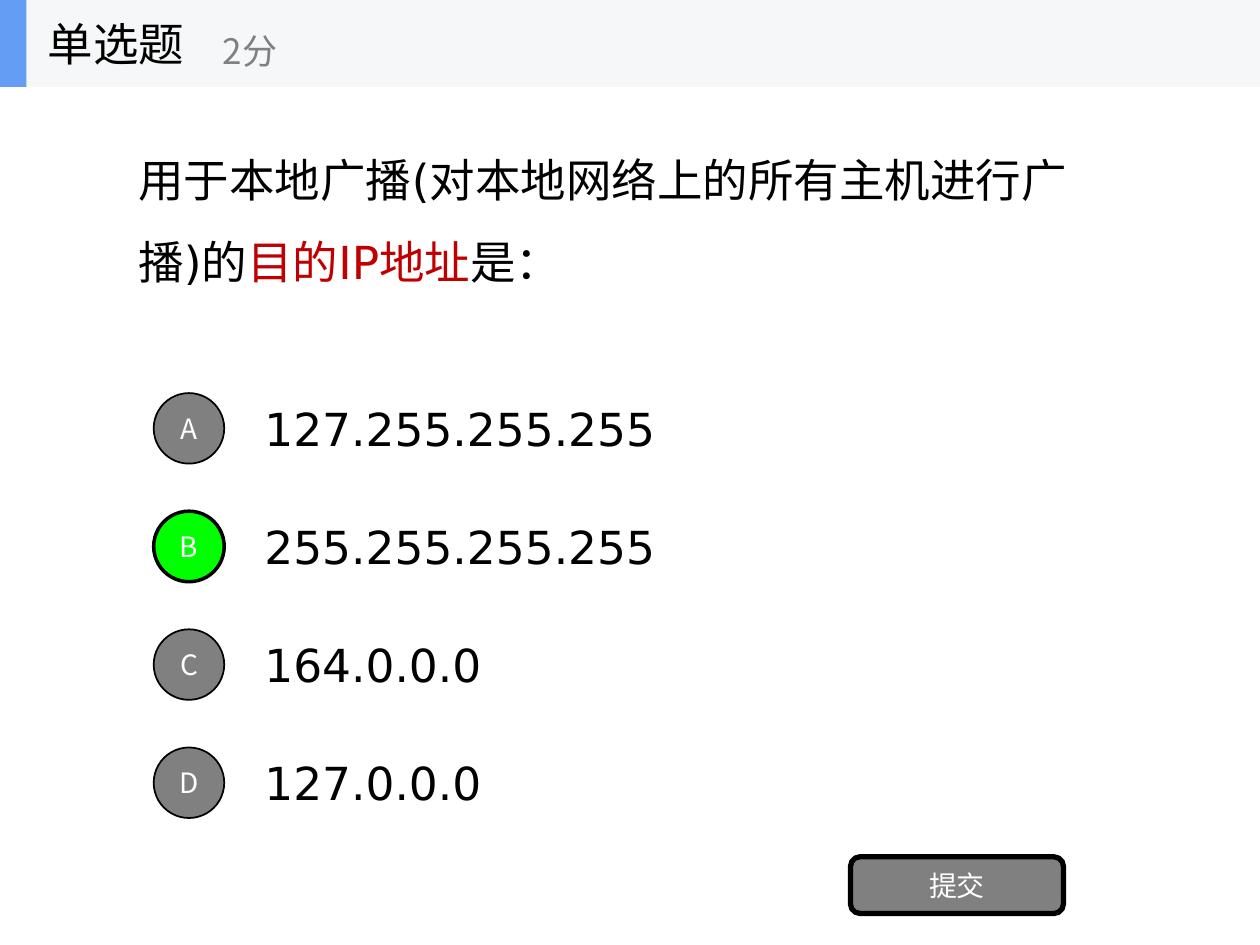
from pptx import Presentation
from pptx.dml.color import RGBColor
from pptx.enum.shapes import MSO_SHAPE
from pptx.enum.text import MSO_ANCHOR, PP_ALIGN
from pptx.util import Inches, Pt

RECTANGLE = MSO_SHAPE.RECTANGLE
ROUNDED = MSO_SHAPE.ROUNDED_RECTANGLE
OVAL = MSO_SHAPE.OVAL
MIDDLE = MSO_ANCHOR.MIDDLE
CENTER = PP_ALIGN.CENTER

COLORS = {
    "black": "000000",
    "white": "FFFFFF",
    "gray": "808080",
    "red": "C00000",
    "green": "00FF00",
    "band": "F6F7F8",
    "accent": "639EF4",
}
BODY_FONT = "DejaVu Sans"
LABEL_FONT = "Noto Sans CJK SC"


def color(name):
    return RGBColor.from_string(COLORS[name])


class QuizSlide:
    def __init__(self, presentation):
        self.slide = presentation.slides.add_slide(presentation.slide_layouts[6])

    def style(self, paragraph, font, size, color_name=None):
        paragraph.font.name = font
        paragraph.font.size = Pt(size)
        if color_name:
            paragraph.font.color.rgb = color(color_name)

    def text(self, box, runs, font=BODY_FONT, size=26, spacing=None, wrap=True, parent=None):
        """Add a text box; runs is a list of (text, color name)."""
        shapes = (parent or self.slide).shapes
        frame = shapes.add_textbox(*map(Inches, box)).text_frame
        frame.word_wrap = wrap
        frame.vertical_anchor = MIDDLE
        paragraph = frame.paragraphs[0]
        paragraph.line_spacing = spacing
        same_color = runs[0][1] if len(runs) == 1 else None
        self.style(paragraph, font, size, same_color)
        for words, color_name in runs:
            run = paragraph.add_run()
            run.text = words
            if not same_color:
                run.font.color.rgb = color(color_name)

    def shape(self, kind, box, fill, line_width=0, label=None, parent=None):
        """Add a filled shape with an optional black outline and white label."""
        shapes = (parent or self.slide).shapes
        shape = shapes.add_shape(kind, *map(Inches, box))
        shape.shadow.inherit = False
        shape.fill.solid()
        shape.fill.fore_color.rgb = color(fill)
        if line_width:
            shape.line.color.rgb = color("black")
            shape.line.width = Pt(line_width)
        else:
            shape.line.fill.background()
        if label:
            frame = shape.text_frame
            frame.vertical_anchor = MIDDLE
            paragraph = frame.paragraphs[0]
            paragraph.text = label
            paragraph.alignment = CENTER
            self.style(paragraph, LABEL_FONT, 16, "white")

    def group(self):
        return self.slide.shapes.add_group_shape()


def main():
    presentation = Presentation()
    presentation.slide_width = Inches(10)
    presentation.slide_height = Inches(7.5)
    quiz = QuizSlide(presentation)

    # Question
    quiz.text(
        (1, 0.47, 8, 2.34),
        [
            ("用于本地广播(对本地网络上的所有主机进行广播)的", "black"),
            ("目的IP地址", "red"),
            ("是：", "black"),
        ],
        spacing=1.5,
    )

    # Answers, with the correct one in green
    answers = ["127.255.255.255", "255.255.255.255", "164.0.0.0", "127.0.0.0"]
    correct = "B"
    first_top, pitch = 3.05, 0.9375
    for row, (letter, answer) in enumerate(zip("ABCD", answers)):
        top = first_top + row * pitch
        quiz.text((2, top, 7, 0.7), [(answer, "black")])
        fill, line_width = ("green", 2) if letter == correct else ("gray", 1)
        quiz.shape(OVAL, (1.22, top + 0.07, 0.56, 0.56), fill, line_width, letter)

    # Submit button
    quiz.shape(ROUNDED, (6.75, 6.8, 1.69, 0.45), "gray", 3, "提交")

    # Header: band, accent, question type and score
    header = quiz.group()
    quiz.shape(RECTANGLE, (0, 0, 10, 0.69), "band", parent=header)
    quiz.shape(RECTANGLE, (0, 0, 0.21, 0.69), "accent", parent=header)
    quiz.text((0.28, 0, 2.08, 0.69), [("单选题", "black")], LABEL_FONT,
              wrap=False, parent=header)
    quiz.text((1.67, 0.12, 2.5, 0.56), [("2分", "gray")], LABEL_FONT, 20,
              wrap=False, parent=header)

    presentation.save("out.pptx")


if __name__ == "__main__":
    main()
